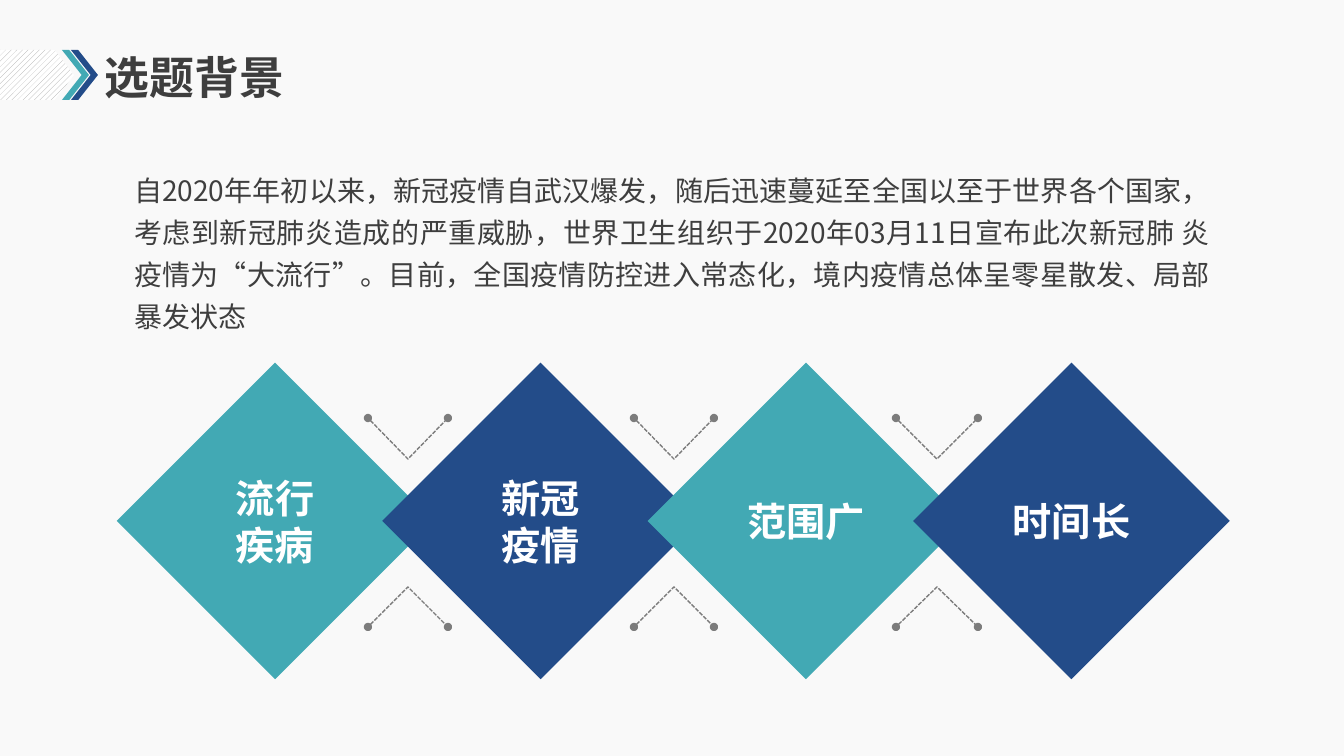
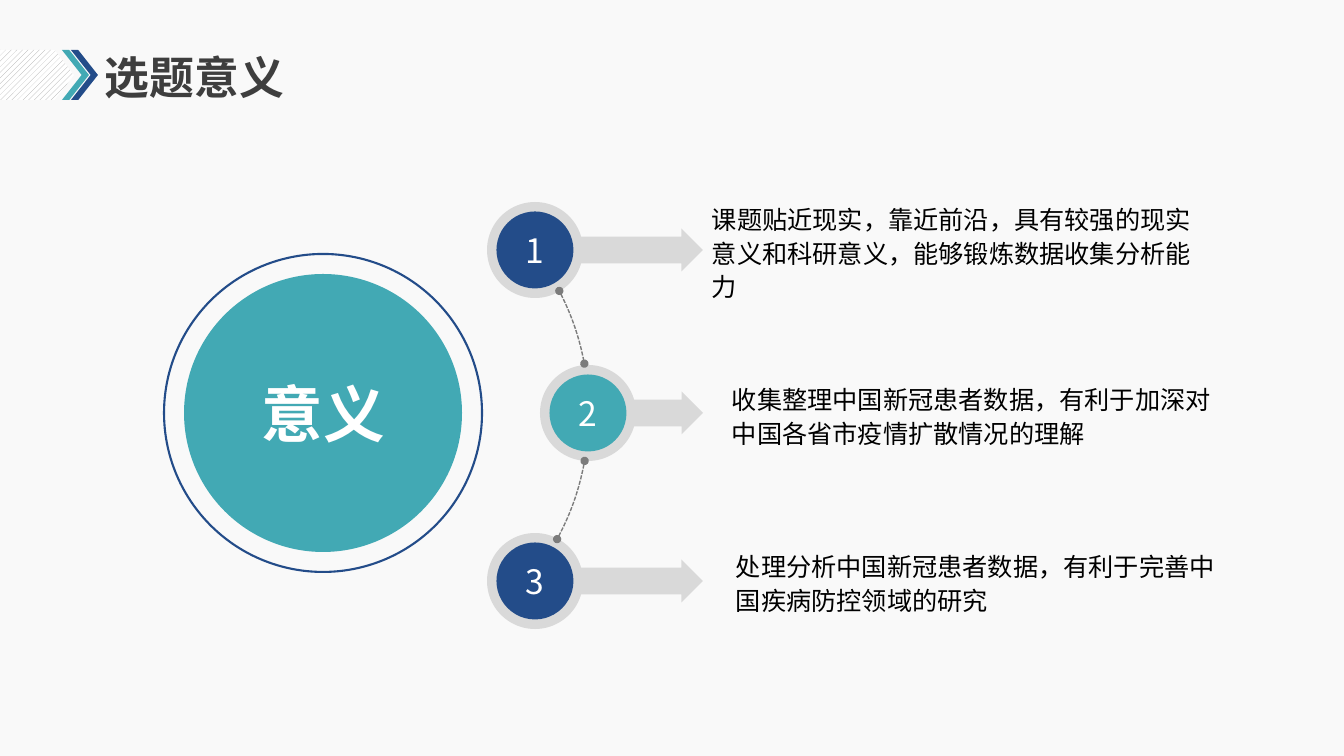
from lxml import etree
from pptx import Presentation
from pptx.dml.color import RGBColor
from pptx.enum.dml import MSO_LINE_DASH_STYLE, MSO_PATTERN_TYPE
from pptx.enum.lang import MSO_LANGUAGE_ID
from pptx.enum.shapes import MSO_SHAPE
from pptx.enum.text import MSO_ANCHOR, MSO_AUTO_SIZE, PP_ALIGN
from pptx.oxml.ns import qn
from pptx.util import Pt

RECTANGLE, OVAL, ARC = MSO_SHAPE.RECTANGLE, MSO_SHAPE.OVAL, MSO_SHAPE.ARC
PENTAGON, CHEVRON = MSO_SHAPE.PENTAGON, MSO_SHAPE.CHEVRON
RIGHT_ARROW = MSO_SHAPE.RIGHT_ARROW
DASHED = MSO_LINE_DASH_STYLE.SQUARE_DOT
HATCH = MSO_PATTERN_TYPE.WIDE_UPWARD_DIAGONAL
CHINESE = MSO_LANGUAGE_ID.SIMPLIFIED_CHINESE
TOP, MIDDLE = MSO_ANCHOR.TOP, MSO_ANCHOR.MIDDLE
GROW = MSO_AUTO_SIZE.SHAPE_TO_FIT_TEXT
LEFT, CENTER, JUSTIFY = PP_ALIGN.LEFT, PP_ALIGN.CENTER, PP_ALIGN.JUSTIFY

SLIDE_WIDTH, SLIDE_HEIGHT = 1344, 756
SCALE = 12192000 / SLIDE_WIDTH
FONT = "Noto Sans CJK SC"
COLORS = {
    "background": "F9F9F9", "teal": "42A9B4", "navy": "234C89",
    "text": "3E3E3E", "black": "000000", "white": "FFFFFF",
    "line": "7C7C7C", "light": "D9D9D9", "hatch": "A6A6A6",
}


def emu(pixels):
    """Turn pixels into EMU."""
    return round(pixels * SCALE)


def color(name):
    """Look up a colour by name."""
    return RGBColor.from_string(COLORS[name])


def write_text(frame, text, size, fill="white", bold=False, align=LEFT,
               anchor=TOP, spacing=None, before=0):
    """Write one formatted paragraph into a text frame."""
    frame.word_wrap = True
    frame.vertical_anchor = anchor
    paragraph = frame.paragraphs[0]
    paragraph.alignment = align
    paragraph.space_before = Pt(before)
    if spacing:
        paragraph.line_spacing = spacing
    run = paragraph.add_run()
    run.text = text
    font = run.font
    font.name, font.size, font.bold = FONT, Pt(size), bold
    font.color.rgb = color(fill)
    font.language_id = CHINESE
    east_asian = etree.Element(qn("a:ea"), typeface=FONT)
    run._r.rPr.find(qn("a:latin")).addnext(east_asian)


def add_text(slide, box, text, size, inset=True, grow=True, **style):
    """Add a text box, with or without its default margins."""
    frame = slide.shapes.add_textbox(*map(emu, box)).text_frame
    if not inset:
        frame.margin_left = frame.margin_right = 0
        frame.margin_top = frame.margin_bottom = 0
    write_text(frame, text, size, **style)
    if grow:
        frame.auto_size = GROW


def add_shape(slide, kind, box, fill=None, adjustments=()):
    """Add a preset shape without outline or shadow."""
    shape = slide.shapes.add_shape(kind, *map(emu, box))
    shape.shadow.inherit = False
    shape.line.fill.background()
    if fill:
        shape.fill.solid()
        shape.fill.fore_color.rgb = color(fill)
    else:
        shape.fill.background()
    for index, value in enumerate(adjustments):
        shape.adjustments[index] = value
    return shape


def add_circle(slide, center_x, center_y, diameter, fill=None):
    """Add a circle around a centre."""
    box = (center_x - diameter / 2, center_y - diameter / 2, diameter, diameter)
    return add_shape(slide, OVAL, box, fill)


def dash_with_dots(shape):
    """Give an open shape a dashed line with a dot at each end."""
    shape.shadow.inherit = False
    shape.fill.background()
    shape.line.color.rgb = color("line")
    shape.line.width = Pt(1)
    shape.line.dash_style = DASHED
    line = shape._element.spPr.find(qn("a:ln"))
    for end in ("a:headEnd", "a:tailEnd"):
        etree.SubElement(line, qn(end), type="oval")


def start_slide(presentation, title):
    """Add a slide with the shared background, title band and title."""
    slide = presentation.slides.add_slide(presentation.slide_layouts[6])
    slide.background.fill.solid()
    slide.background.fill.fore_color.rgb = color("background")
    top, height = 50, 50
    band = add_shape(slide, PENTAGON, (0, top, 74, height), adjustments=[0.39])
    band.fill.patterned()
    band.fill.pattern = HATCH
    band.fill.fore_color.rgb = color("hatch")
    band.fill.back_color.rgb = color("white")
    for left, fill in ((62, "teal"), (71, "navy")):
        add_shape(slide, CHEVRON, (left, top, 27, height), fill, [0.73])
    add_text(slide, (95, 55, 498, 50), title, 32, grow=False, fill="text",
             bold=True, anchor=MIDDLE, spacing=0.9)
    return slide


def add_diamond(slide, center_x, center_y, text, fill):
    """Add a square on its corner with a centred label."""
    side = 224
    box = (center_x - side / 2, center_y - side / 2, side, side)
    add_shape(slide, RECTANGLE, box, fill).rotation = 45
    in_two_lines = len(text) == 4
    width, height = (104, 94) if in_two_lines else (155, 47)
    add_text(slide, (center_x - width / 2, center_y - height / 2, width, height),
             text, 28, inset=False, bold=True, align=CENTER)


def add_angle(slide, center_x, end_y, tip_y):
    """Add a dashed angle whose tip lies on the given centre."""
    half = 40.5
    builder = slide.shapes.build_freeform(center_x - half, end_y, SCALE)
    builder.add_line_segments(
        [(center_x, tip_y), (center_x + half, end_y)], close=False)
    dash_with_dots(builder.convert_to_shape())


def build_background_slide(presentation):
    """Build the slide with the introduction and four diamonds."""
    slide = start_slide(presentation, "选题背景")
    add_text(
        slide, (134, 165, 1076, 165),
        "自2020年年初以来，新冠疫情自武汉爆发，随后迅速蔓延至全国以至于世界各个国家，"
        "考虑到新冠肺炎造成的严重威胁，世界卫生组织于2020年03月11日宣布此次新冠肺 "
        "炎疫情为“大流行”。目前，全国疫情防控进入常态化，境内疫情总体呈零星散发、"
        "局部暴发状态",
        20, inset=False, fill="text", align=JUSTIFY, spacing=Pt(30), before=18)
    labels = ("流行疾病", "新冠疫情", "范围广", "时间长")
    middle = 521
    for index, label in enumerate(labels):
        add_diamond(slide, 275 + 265.5 * index, middle, label,
                    ("teal", "navy")[index % 2])
    for center_x in (408, 674, 937):
        add_angle(slide, center_x, 418, 459)
        add_angle(slide, center_x, 627, 587)


def add_reason(slide, center_x, center_y, number, fill, text, box):
    """Add a numbered circle, its arrow and the text it points to."""
    arrow_left, arrow_right, arrow_height = center_x + 21, 703, 43
    add_shape(slide, RIGHT_ARROW,
              (arrow_left, center_y - arrow_height / 2,
               arrow_right - arrow_left, arrow_height),
              "light", [0.62, 0.5])
    add_circle(slide, center_x, center_y, 96, "light")
    badge = add_circle(slide, center_x, center_y, 77, fill)
    write_text(badge.text_frame, str(number), 24, align=CENTER, anchor=MIDDLE)
    add_text(slide, box, text, 18, fill="black", spacing=Pt(24))


def build_meaning_slide(presentation):
    """Build the slide with a central disc and three reasons."""
    slide = start_slide(presentation, "选题意义")
    center_x, center_y = 323, 413
    add_circle(slide, center_x, center_y, 278, "teal")
    ring = add_circle(slide, center_x, center_y, 318)
    ring.line.color.rgb = color("navy")
    ring.line.width = Pt(1.5)
    add_text(slide, (center_x - 69, center_y - 37, 139, 74), "意义", 44,
             inset=False, bold=True, align=CENTER)
    reasons = (
        (535, 250, "navy", "课题贴近现实，靠近前沿，具有较强的现实意义和科研意义，"
         "能够锻炼数据收集分析能力", (702, 196, 503, 110)),
        (588, 413, "teal", "收集整理中国新冠患者数据，有利于加深对中国各省市疫情"
         "扩散情况的理解", (722, 376, 506, 76)),
        (535, 581, "navy", "处理分析中国新冠患者数据，有利于完善中国疾病防控领域"
         "的研究", (726, 543, 503, 76)),
    )
    for number, (x, y, fill, text, box) in enumerate(reasons, 1):
        add_reason(slide, x, y, number, fill, text, box)
    diameter = 532
    arc_box = (center_x - diameter / 2, center_y - diameter / 2,
               diameter, diameter)
    units_per_degree = 0.6
    for angles in ((332.7, 349.32), (10.39, 28.32)):
        dash_with_dots(add_shape(
            slide, ARC, arc_box,
            adjustments=[angle * units_per_degree for angle in angles]))


def main():
    """Build and save the presentation."""
    presentation = Presentation()
    presentation.slide_width = emu(SLIDE_WIDTH)
    presentation.slide_height = emu(SLIDE_HEIGHT)
    build_background_slide(presentation)
    build_meaning_slide(presentation)
    presentation.save("out.pptx")


main()
